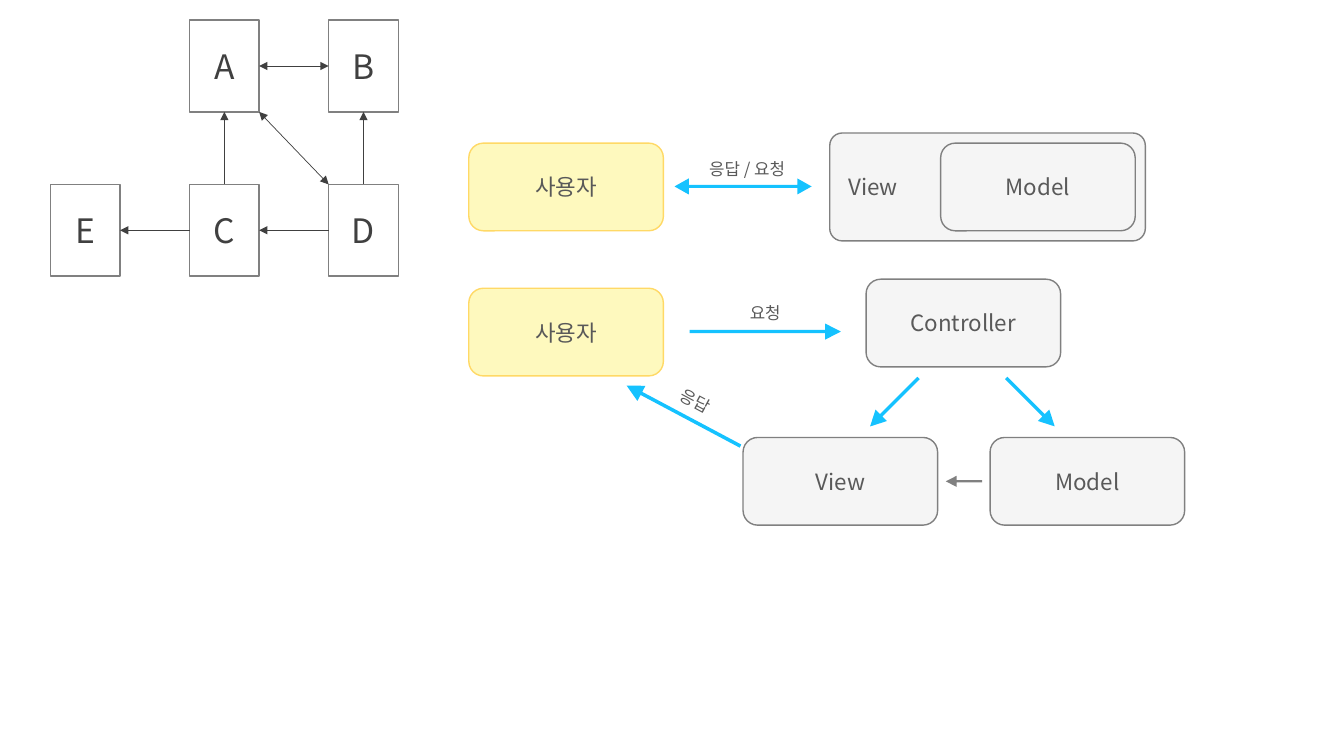
from dataclasses import dataclass

from lxml.etree import SubElement
from pptx import Presentation
from pptx.dml.color import RGBColor
from pptx.enum.shapes import MSO_CONNECTOR as Connector, MSO_SHAPE as Shape
from pptx.enum.text import MSO_ANCHOR as Anchor, PP_ALIGN as Align
from pptx.oxml.ns import qn
from pptx.util import Inches, Pt

TOP, LEFT, BOTTOM, RIGHT = range(4)


@dataclass(frozen=True)
class Theme:
    """Colours, font and type sizes of the slide."""

    font: str = "Noto Sans CJK KR"
    white: str = "FFFFFF"
    ink: str = "404040"
    text: str = "595959"
    edge: str = "808080"
    panel: str = "F5F5F5"
    user: str = "FEF9BE"
    user_edge: str = "FFD966"
    flow: str = "15C2FF"
    letter_size: int = 24
    node_size: int = 16
    label_size: int = 12


class Diagram:
    """Draws diagram elements on one slide in one style."""

    def __init__(self, slide, theme):
        """Keep the slide and its style."""
        self.shapes = slide.shapes
        self.theme = theme

    def add_text(self, frame, text, size, colour, align=Align.CENTER):
        """Put one styled run into a text frame."""
        paragraph = frame.paragraphs[0]
        paragraph.alignment = align
        run = paragraph.add_run()
        run.text = text
        run.font.size = Pt(size)
        run.font.color.rgb = RGBColor.from_string(colour)
        run.font.name = self.theme.font
        SubElement(run.font._element, qn("a:ea"), typeface=self.theme.font)

    def outline(self, kind, place, fill, edge=None):
        """Add a filled preset shape, with a line if an edge colour is given."""
        shape = self.shapes.add_shape(kind, *map(Inches, place))
        shape.shadow.inherit = False
        shape.fill.solid()
        shape.fill.fore_color.rgb = RGBColor.from_string(fill)
        if edge:
            shape.line.color.rgb = RGBColor.from_string(edge)
            shape.line.width = Pt(1)
        else:
            shape.line.fill.background()
        return shape

    def letter_box(self, letter, left, top):
        """Add a square-cornered box with a single letter."""
        box = self.outline(Shape.RECTANGLE, (left, top, 0.69, 0.91), self.theme.white, self.theme.edge)
        box.text_frame.vertical_anchor = Anchor.MIDDLE
        self.add_text(box.text_frame, letter, self.theme.letter_size, self.theme.ink)
        return box

    def node(self, text, left, top, user=False):
        """Add a rounded box for the user or for one part of the program."""
        theme = self.theme
        fill, edge = (theme.user, theme.user_edge) if user else (theme.panel, theme.edge)
        box = self.outline(Shape.ROUNDED_RECTANGLE, (left, top, 1.93, 0.87), fill, edge)
        box.text_frame.vertical_anchor = Anchor.MIDDLE
        self.add_text(box.text_frame, text, theme.node_size, theme.text)

    def container(self, text, place):
        """Add a rounded box with its name at the left, to hold another box."""
        box = self.outline(Shape.ROUNDED_RECTANGLE, place, self.theme.panel, self.theme.edge)
        box.adjustments[0] = 0.115
        box.text_frame.vertical_anchor = Anchor.MIDDLE
        box.text_frame.margin_left = Inches(0.15)
        self.add_text(box.text_frame, text, self.theme.node_size, self.theme.text, Align.LEFT)

    def block_arrow(self, place, turn=0, colour=None, both=False):
        """Add a thin block arrow with one or two heads."""
        kind = Shape.LEFT_RIGHT_ARROW if both else Shape.RIGHT_ARROW
        arrow = self.outline(kind, place, colour or self.theme.flow)
        arrow.adjustments[0], arrow.adjustments[1] = (0.189, 0.887) if both else (0.207, 0.975)
        arrow.rotation = turn

    def label(self, text, place, turn=0):
        """Add a small label beside an arrow."""
        box = self.shapes.add_textbox(*map(Inches, place))
        box.text_frame.word_wrap = False
        box.rotation = turn
        self.add_text(box.text_frame, text, self.theme.label_size, self.theme.text)

    def line(self, start, end, both=False):
        """Add a thin line with an arrowhead at its end, or at both ends."""
        link = self.shapes.add_connector(Connector.STRAIGHT, *start, *end)
        link.line.color.rgb = RGBColor.from_string(self.theme.ink)
        link.line.width = Pt(0.5)
        for tag in ("a:headEnd", "a:tailEnd") if both else ("a:tailEnd",):
            SubElement(link._element.spPr.find(qn("a:ln")), qn(tag), type="triangle")
        SubElement(link._element.spPr, qn("a:effectLst"))
        return link

    def join(self, source, source_side, target, target_side, both=False):
        """Join the middles of two box sides with an arrow."""
        link = self.line((0, 0), (0, 0), both)
        link.begin_connect(source, source_side)
        link.end_connect(target, target_side)


def draw_graph(diagram):
    """Draw the graph of lettered boxes."""
    cells = {"A": (1, 0), "B": (2, 0), "C": (1, 1), "D": (2, 1), "E": (0, 1)}
    box = {
        letter: diagram.letter_box(letter, 0.5 + 1.38 * column, 0.2 + 1.63 * row)
        for letter, (column, row) in cells.items()
    }
    a, d = box["A"], box["D"]
    diagram.join(a, RIGHT, box["B"], LEFT, both=True)
    diagram.line((a.left + a.width, a.top + a.height), (d.left, d.top), both=True)
    for source, source_side, target, target_side in (
        ("D", TOP, "B", BOTTOM),
        ("C", TOP, "A", BOTTOM),
        ("D", LEFT, "C", RIGHT),
        ("C", LEFT, "E", RIGHT),
    ):
        diagram.join(box[source], source_side, box[target], target_side)


def draw_patterns(diagram):
    """Draw the view-model pattern and the model-view-controller pattern."""
    diagram.container("View", (8.23, 1.32, 3.13, 1.07))
    for top in (1.42, 2.86):
        diagram.node("사용자", 4.65, top, user=True)
    for name, left, top in (
        ("Model", 9.33, 1.42),
        ("View", 7.37, 4.34),
        ("Model", 9.82, 4.34),
        ("Controller", 8.59, 2.77),
    ):
        diagram.node(name, left, top)

    diagram.block_arrow((6.69, 1.77, 1.36, 0.16), both=True)
    diagram.block_arrow((6.84, 3.21, 1.5, 0.16))
    diagram.block_arrow((6.14, 4.04, 1.28, 0.17), turn=208)
    diagram.block_arrow((9.38, 4.72, 0.36, 0.11), turn=180, colour=diagram.theme.edge)
    for left, turn in ((8.53, 135), (9.88, 45)):
        diagram.block_arrow((left, 3.91, 0.68, 0.16), turn)

    diagram.label("응답 / 요청", (6.88, 1.53, 1.06, 0.3))
    diagram.label("요청", (7.32, 2.95, 0.54, 0.3))
    diagram.label("응답", (6.63, 3.83, 0.54, 0.3), turn=28.2)


def main():
    """Build the slide and save it."""
    deck = Presentation()
    deck.slide_width, deck.slide_height = Inches(13.33), Inches(7.5)
    diagram = Diagram(deck.slides.add_slide(deck.slide_layouts[6]), Theme())
    draw_graph(diagram)
    draw_patterns(diagram)
    deck.save("out.pptx")


if __name__ == "__main__":
    main()
